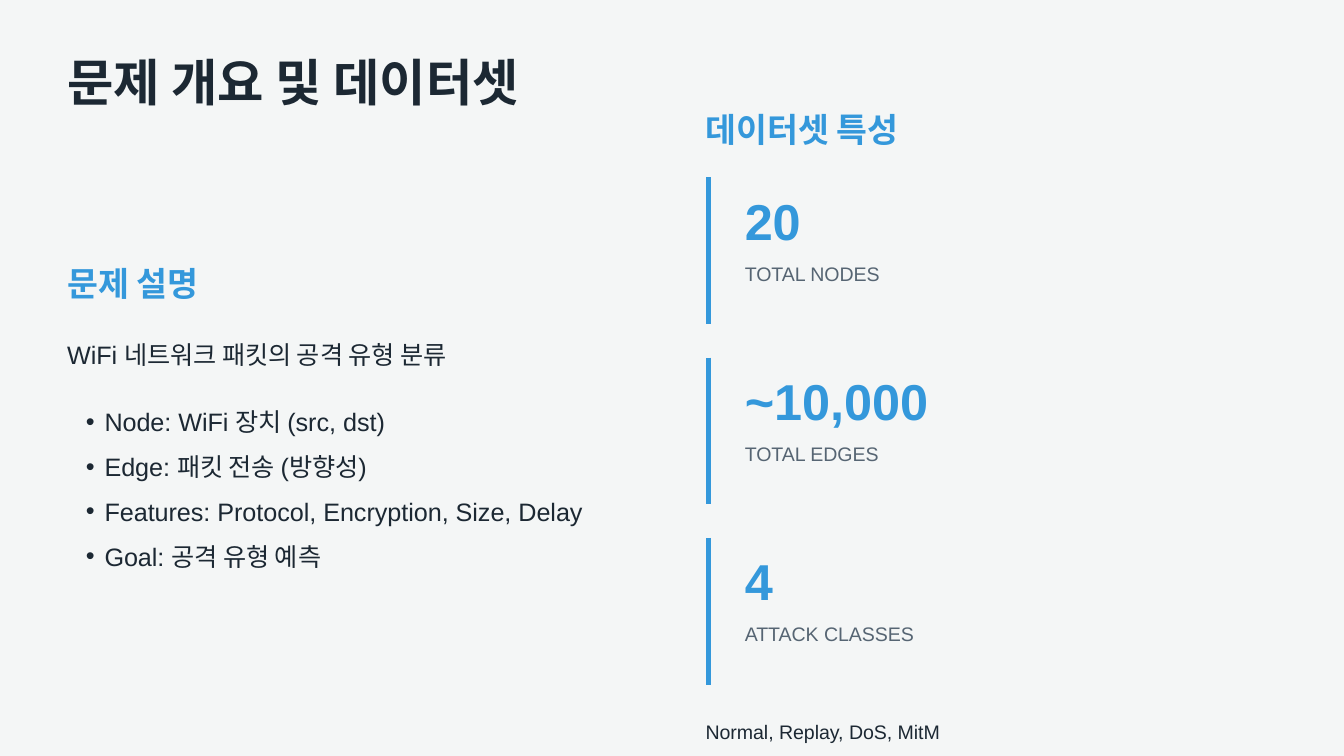
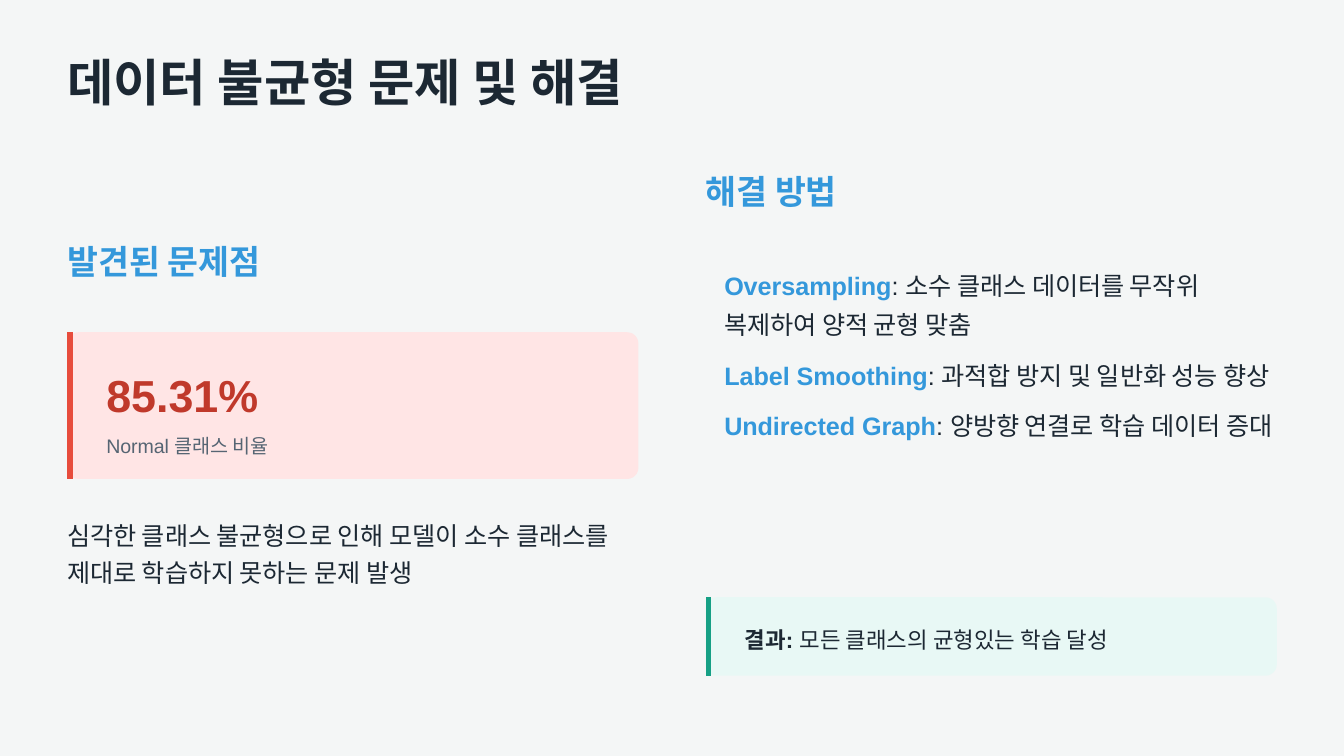
from lxml.etree import SubElement
from pptx import Presentation
from pptx.dml.color import RGBColor
from pptx.enum.shapes import MSO_CONNECTOR, MSO_SHAPE
from pptx.enum.text import MSO_ANCHOR, MSO_AUTO_SIZE, PP_ALIGN
from pptx.oxml.ns import qn
from pptx.util import Pt

PAPER = RGBColor(0xF4, 0xF6, 0xF6)
INK = RGBColor(0x1C, 0x28, 0x33)
GRAY = RGBColor(0x56, 0x65, 0x73)
BLUE = RGBColor(0x34, 0x98, 0xDB)
RED = RGBColor(0xE7, 0x4C, 0x3C)
BRICK = RGBColor(0xC0, 0x39, 0x2B)
ROSE = RGBColor(0xFF, 0xE5, 0xE5)
GREEN = RGBColor(0x16, 0xA0, 0x85)
MINT = RGBColor(0xE8, 0xF8, 0xF5)

FONT = "Arial"
LEFT, RIGHT = 36, 378
WIDE, COL = 312, 306
PAD, TAB = 21, 10
CARD, STEP = 78.6, 96.6


def write(shape, *texts, size=13.5, color=INK, bold=False, line=20.2,
          after=0, inset=0, bullet=None, lead=INK):
    """Fill a shape; a (lead, rest) pair makes a paragraph with a bold start."""
    frame = shape.text_frame
    frame.word_wrap = True
    frame.auto_size = MSO_AUTO_SIZE.NONE
    frame.vertical_anchor = MSO_ANCHOR.TOP
    frame.margin_left = Pt(inset)
    frame.margin_top = frame.margin_right = frame.margin_bottom = 0
    for num, text in enumerate(texts):
        para = frame.add_paragraph() if num else frame.paragraphs[0]
        para.alignment = PP_ALIGN.LEFT
        para.line_spacing = Pt(line)
        para.space_before = Pt(0)
        para.space_after = Pt(after)
        props = para._p.get_or_add_pPr()
        props.set("marL", str(Pt(TAB) if bullet else 0))
        props.set("indent", str(Pt(-TAB) if bullet else 0))
        if bullet:
            SubElement(props, qn("a:buChar")).set("char", bullet)
        else:
            SubElement(props, qn("a:buNone"))
        if isinstance(text, tuple):
            parts = [(text[0], lead, True), (text[1], color, bold)]
        else:
            parts = [(text, color, bold)]
        for words, tint, heavy in parts:
            run = para.add_run()
            run.text = words
            run.font.name = FONT
            run.font.size = Pt(size)
            run.font.bold = heavy
            run.font.color.rgb = tint


class Deck:
    """Holds the shared style and the current slide."""

    def __init__(self):
        """Set the page size and background."""
        self.prs = Presentation()
        self.prs.slide_width, self.prs.slide_height = Pt(720), Pt(405)
        self.prs.slide_master.background.fill.solid()
        self.prs.slide_master.background.fill.fore_color.rgb = PAPER

    def place(self, shape, x, y, w, h):
        """Move and size a placeholder."""
        shape.left, shape.top = Pt(x), Pt(y)
        shape.width, shape.height = Pt(w), Pt(h)

    def start(self, title):
        """Begin a slide with its title."""
        self.slide = self.prs.slides.add_slide(self.prs.slide_layouts[1])
        head = self.slide.shapes.title
        self.place(head, LEFT, 30, 334, 30)
        write(head, title, size=27, bold=True, line=30)

    def items(self, x, y, h, *texts, **style):
        """Put a list in the body placeholder."""
        body = self.slide.placeholders[1]
        self.place(body, x, y, COL, h)
        write(body, *texts, line=21, inset=TAB, **style)

    def text(self, x, y, w, h, words, **style):
        """Add a text box."""
        box = self.slide.shapes.add_textbox(Pt(x), Pt(y), Pt(w), Pt(h))
        write(box, words, **style)

    def head(self, x, y, words):
        """Add a column heading."""
        self.text(x, y, WIDE, 21.6, words, size=18, color=BLUE,
                  bold=True, line=21.6)

    def bar(self, x, y, h, color):
        """Add the accent line at a card's left edge."""
        mid = Pt(x + 1.5)
        line = self.slide.shapes.add_connector(
            MSO_CONNECTOR.STRAIGHT, mid, Pt(y), mid, Pt(y + h))
        line.line.color.rgb = color
        line.line.width = Pt(3)
        SubElement(line._element.spPr, qn("a:effectLst"))

    def card(self, x, y, h, fill, color):
        """Add a rounded card with its accent line."""
        card = self.slide.shapes.add_shape(
            MSO_SHAPE.ROUNDED_RECTANGLE, Pt(x), Pt(y), Pt(COL), Pt(h))
        card.adjustments[0] = 6 / h
        card.shadow.inherit = False
        card.fill.solid()
        card.fill.fore_color.rgb = fill
        card.line.fill.background()
        self.bar(x, y, h, color)

    def stat(self, x, y, value, label, size=27, color=BLUE, line=27, drop=42):
        """Add a large figure over its label."""
        self.text(x + PAD, y + 12, 272, line, value, size=size,
                  color=color, bold=True, line=line)
        self.text(x + PAD, y + drop, 272, 15.8, label, size=10.5,
                  color=GRAY, line=15.8)


def main():
    """Build both slides."""
    deck = Deck()

    deck.start("문제 개요 및 데이터셋")
    deck.items(LEFT, 213, 102,
               "Node: WiFi 장치 (src, dst)",
               "Edge: 패킷 전송 (방향성)",
               "Features: Protocol, Encryption, Size, Delay",
               "Goal: 공격 유형 예측", after=3, bullet="•")
    deck.head(LEFT, 141, "문제 설명")
    deck.text(LEFT, 178, WIDE, 20.2, "WiFi 네트워크 패킷의 공격 유형 분류")
    deck.head(RIGHT, 58.5, "데이터셋 특성")
    stats = [("20", "TOTAL NODES"), ("~10,000", "TOTAL EDGES"),
             ("4", "ATTACK CLASSES")]
    for num, (value, label) in enumerate(stats):
        top = 95 + STEP * num
        deck.bar(RIGHT, top, CARD, BLUE)
        deck.stat(RIGHT, top, value, label)
    deck.text(RIGHT, 382.5, WIDE, 15.8, "Normal, Replay, DoS, MitM",
              size=10.5, line=15.8)

    deck.start("데이터 불균형 문제 및 해결")
    deck.items(RIGHT, 140, 150,
               ("Oversampling", ": 소수 클래스 데이터를 무작위 복제하여 양적 균형 맞춤"),
               ("Label Smoothing", ": 과적합 방지 및 일반화 성능 향상"),
               ("Undirected Graph", ": 양방향 연결로 학습 데이터 증대"),
               after=6, lead=BLUE)
    deck.head(LEFT, 129, "발견된 문제점")
    deck.card(LEFT, 178, CARD, ROSE, RED)
    deck.stat(LEFT, 178, "85.31%", "Normal 클래스 비율", size=24,
              color=BRICK, line=36, drop=51)
    deck.text(LEFT, 274.5, WIDE, 40.4,
              "심각한 클래스 불균형으로 인해 모델이 소수 클래스를 "
              "제대로 학습하지 못하는 문제 발생")
    deck.head(RIGHT, 91.5, "해결 방법")
    deck.card(RIGHT, 320, 42, MINT, GREEN)
    deck.text(RIGHT + PAD, 332, 272, 18,
              ("결과:", " 모든 클래스의 균형있는 학습 달성"), size=12, line=18)

    deck.prs.save("out.pptx")


if __name__ == "__main__":
    main()
